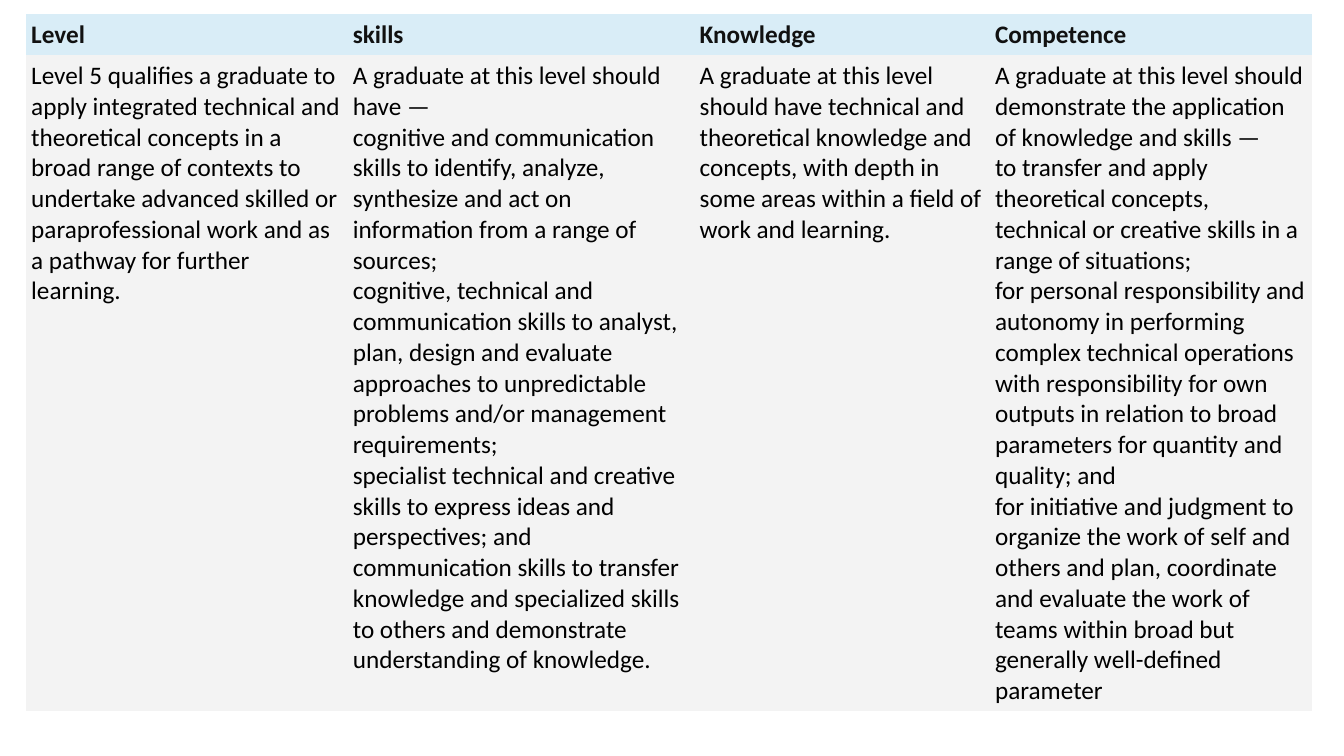
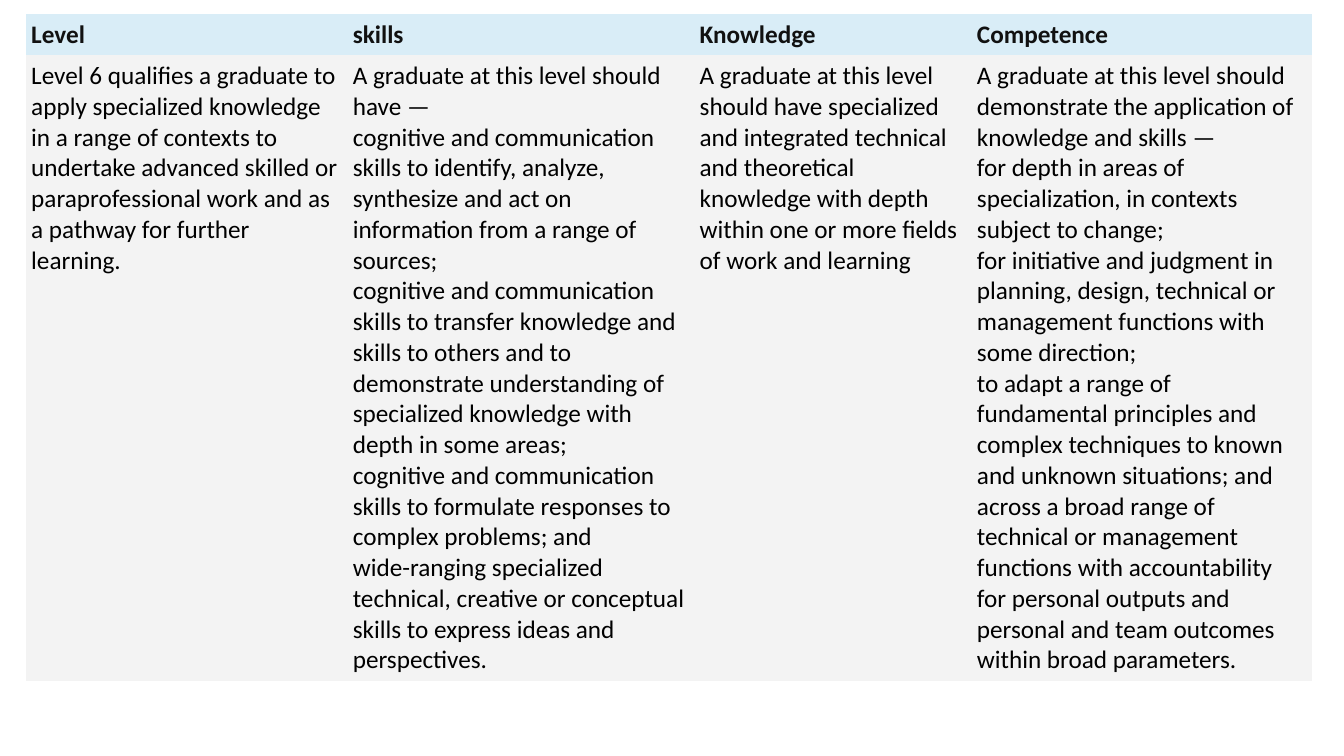
from pptx import Presentation
from pptx import util as u
from pptx.dml import color
from pptx.oxml import ns

FONT = "Calibri"
TEXT_SIZE = 18
HEADER_FILL, HEADER_TEXT = "D9EDF7", "111111"
BODY_FILL, BODY_TEXT = "F3F3F3", "000000"
HEADINGS = ["Level", "skills", "Knowledge", "Competence"]
TABLE_LEFT, TABLE_TOP = 0.26, 0.14
HEADER_HEIGHT = 0.41
CELL_MARGIN = 0.05
PLAIN_STYLE = "{2D5ABB26-0587-4C30-8999-92F81FD0307C}"  # no fill, no grid

# One list of paragraphs for each column
LEVEL_5 = [
    ["Level 5 qualifies a graduate to apply integrated technical and theoretical concepts in a "
     "broad range of contexts to undertake advanced skilled or paraprofessional work and as a "
     "pathway for further learning."],
    ["A graduate at this level should have —",
     "cognitive and communication skills to identify, analyze, synthesize and act on information "
     "from a range of sources;",
     "cognitive, technical and communication skills to analyst, plan, design and evaluate "
     "approaches to unpredictable problems and/or management requirements;",
     "specialist technical and creative skills to express ideas and perspectives; and",
     "communication skills to transfer knowledge and specialized skills to others and "
     "demonstrate understanding of knowledge."],
    ["A graduate at this level should have technical and theoretical knowledge and concepts, "
     "with depth in some areas within a field of work and learning."],
    ["A graduate at this level should demonstrate the application of knowledge and skills —",
     "to transfer and apply theoretical concepts, technical or creative skills in a range of "
     "situations;",
     "for personal responsibility and autonomy in performing complex technical operations with "
     "responsibility for own outputs in relation to broad parameters for quantity and quality; "
     "and",
     "for initiative and judgment to organize the work of self and others and plan, coordinate "
     "and evaluate the work of teams within broad but generally well-defined parameter"],
]

LEVEL_6 = [
    ["Level 6 qualifies a graduate to apply specialized knowledge in a range of contexts to "
     "undertake advanced skilled or paraprofessional work and as a pathway for further "
     "learning."],
    ["A graduate at this level should have —",
     "cognitive and communication skills to identify, analyze, synthesize and act on information "
     "from a range of sources;",
     "cognitive and communication skills to transfer knowledge and skills to others and to "
     "demonstrate understanding of specialized knowledge with depth in some areas;",
     "cognitive and communication skills to formulate responses to complex problems; and",
     "wide-ranging specialized technical, creative or conceptual skills to express ideas and "
     "perspectives."],
    ["A graduate at this level should have specialized and integrated technical and theoretical "
     "knowledge with depth within one or more fields of work and learning"],
    ["A graduate at this level should demonstrate the application of knowledge and skills —",
     "for depth in areas of specialization, in contexts subject to change;",
     "for initiative and judgment in planning, design, technical or management functions with "
     "some direction;",
     "to adapt a range of fundamental principles and complex techniques to known and unknown "
     "situations; and",
     "across a broad range of technical or management functions with accountability for personal "
     "outputs and personal and team outcomes within broad parameters."],
]


def rgb(value):
    return color.RGBColor.from_string(value)


def fill_cell(cell, paragraphs, fill, text_color, bold):
    cell.fill.solid()
    cell.fill.fore_color.rgb = rgb(fill)
    cell.margin_left = cell.margin_right = u.Inches(CELL_MARGIN)
    cell.margin_top = cell.margin_bottom = u.Inches(CELL_MARGIN)
    cell.text_frame.text = "\n".join(paragraphs)
    for para in cell.text_frame.paragraphs:
        for span in para.runs:
            span.font.name = FONT
            span.font.size = u.Pt(TEXT_SIZE)
            span.font.bold = bold
            span.font.color.rgb = rgb(text_color)


def add_level_slide(deck, columns, widths, body_height):
    page = deck.slides.add_slide(deck.slide_layouts[6])
    frame = page.shapes.add_table(
        2, len(widths), u.Inches(TABLE_LEFT), u.Inches(TABLE_TOP),
        u.Inches(sum(widths)), u.Inches(HEADER_HEIGHT + body_height))
    table = frame.table

    # Plain table style without banding
    table.horz_banding = False
    frame._element.find(".//" + ns.qn("a:tableStyleId")).text = PLAIN_STYLE

    # Grid
    for row, height in zip(table.rows, (HEADER_HEIGHT, body_height)):
        row.height = u.Inches(height)
    for column, width in zip(table.columns, widths):
        column.width = u.Inches(width)

    # Headings and descriptions
    for index, (heading, paragraphs) in enumerate(zip(HEADINGS, columns)):
        fill_cell(table.cell(0, index), [heading], HEADER_FILL, HEADER_TEXT, True)
        fill_cell(table.cell(1, index), paragraphs, BODY_FILL, BODY_TEXT, False)


def main():
    deck = Presentation()
    deck.slide_width, deck.slide_height = u.Inches(13.33), u.Inches(7.5)
    add_level_slide(deck, LEVEL_5, [3.19, 3.44, 2.93, 3.19], 6.5)
    add_level_slide(deck, LEVEL_6, [3.19, 3.44, 2.75, 3.37], 6.2)
    deck.save("out.pptx")


if __name__ == "__main__":
    main()
